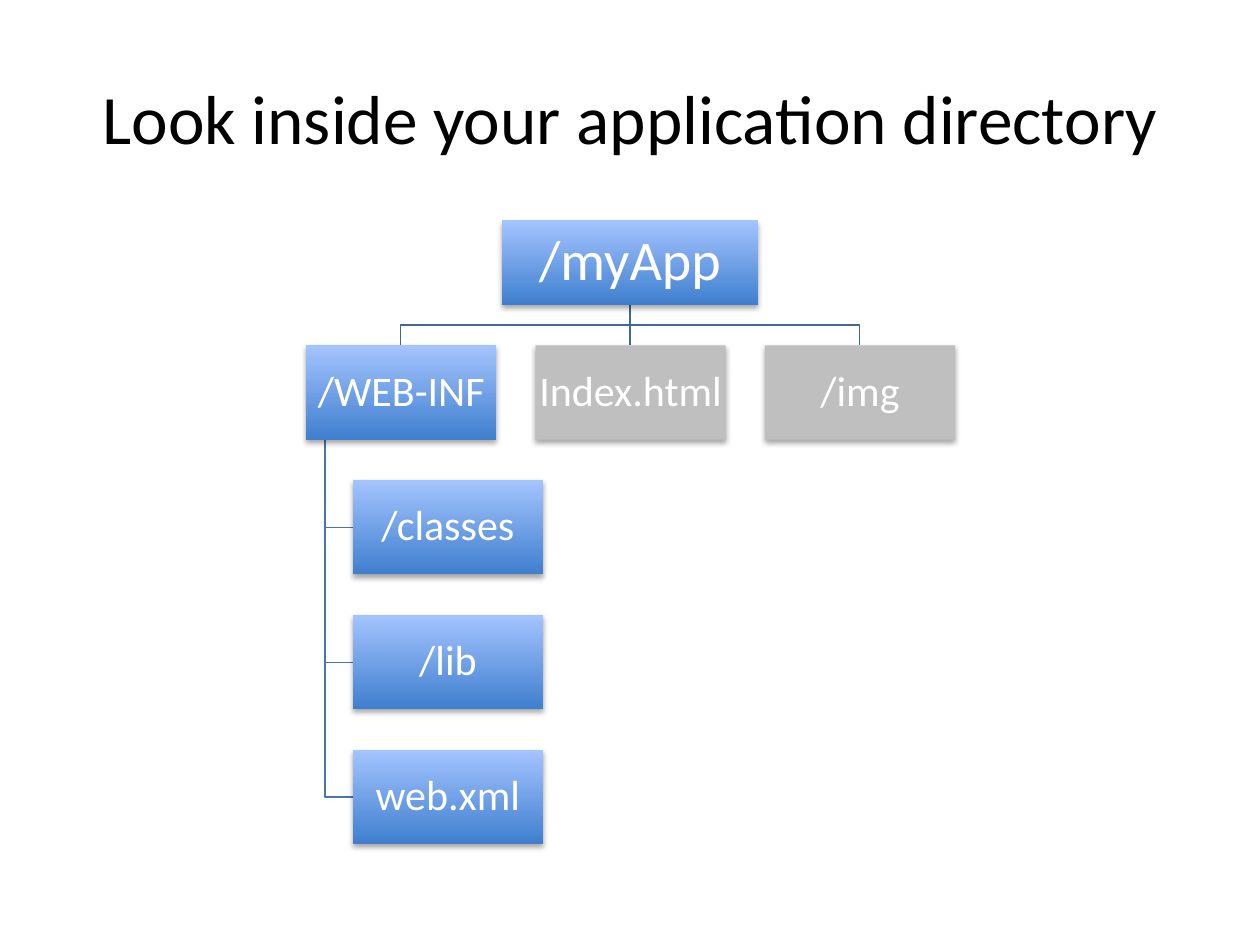
"""Build a slide showing the directory tree of a web application."""
from lxml import etree
from pptx import Presentation
from pptx.dml.color import RGBColor
from pptx.enum.shapes import MSO_CONNECTOR, MSO_SHAPE
from pptx.enum.text import MSO_ANCHOR, PP_ALIGN
from pptx.oxml.ns import qn
from pptx.util import Inches, Pt

RECTANGLE = MSO_SHAPE.RECTANGLE
STRAIGHT = MSO_CONNECTOR.STRAIGHT
MIDDLE = MSO_ANCHOR.MIDDLE
CENTER = PP_ALIGN.CENTER

BLACK = RGBColor(0x00, 0x00, 0x00)
WHITE = RGBColor(0xFF, 0xFF, 0xFF)
GREY = RGBColor(0xBF, 0xBF, 0xBF)
DEEP_BLUE = RGBColor(0x3F, 0x7F, 0xCE)
PALE_BLUE = RGBColor(0xA4, 0xC4, 0xFF)
BRANCH_BLUE = RGBColor(0x3F, 0x67, 0x97)
TWIG_BLUE = RGBColor(0x48, 0x75, 0xAC)

TITLE = "Look inside your application directory"
ROOT = "/myApp"
ENTRIES = [("/WEB-INF", True), ("Index.html", False), ("/img", False)]
WEB_INF_FILES = ["/classes", "/lib", "web.xml"]

FONT = "Calibri"
CENTER_X = 5
ROOT_TOP, ROOT_WIDTH, ROOT_HEIGHT = 1.75, 2.03, 0.67
NODE_WIDTH, NODE_HEIGHT = 1.51, 0.75
ENTRY_LEFT, ENTRY_TOP, ENTRY_PITCH = 2.43, 2.74, 1.82
FILE_LEFT, FILE_PITCH = 2.8, 1.07
BRANCH_Y, TRUNK_X = 2.58, 2.58
FRAME_FORMAT = {
    "word_wrap": True,
    "vertical_anchor": MIDDLE,
    **{f"margin_{side}": Inches(0.02) for side in ("left", "top", "right", "bottom")},
}
SHADOW_FORMAT = {"blurRad": "40000", "dist": "23000", "dir": "5400000", "rotWithShape": "0"}


def apply(target, formats):
    for name, value in formats.items():
        setattr(target, name, value)


def write(frame, text, size, color):
    frame.text = text
    para = frame.paragraphs[0]
    para.alignment = CENTER
    span = para.runs[0]
    apply(span.font, {"name": FONT, "size": Pt(size)})
    span.font.color.rgb = color
    return para


def add_shadow(box):
    box.shadow.inherit = False
    effects = box._element.spPr.find(qn("a:effectLst"))
    shadow = etree.SubElement(effects, qn("a:outerShdw"), SHADOW_FORMAT)
    color = etree.SubElement(shadow, qn("a:srgbClr"), val="000000")
    etree.SubElement(color, qn("a:alpha"), val="35000")


def add_node(page, text, place, size, active=True):
    box = page.shapes.add_shape(RECTANGLE, *map(Inches, place))
    if active:
        box.fill.gradient()
        box.fill.gradient_angle = 90
        for stop, color in zip(box.fill.gradient_stops, (DEEP_BLUE, PALE_BLUE)):
            stop.color.rgb = color
    else:
        box.fill.solid()
        box.fill.fore_color.rgb = GREY
    box.line.fill.background()
    add_shadow(box)
    apply(box.text_frame, FRAME_FORMAT)
    write(box.text_frame, text, size, WHITE).line_spacing = 0.9


def add_link(page, points, color):
    points = [(Inches(x), Inches(y)) for x, y in points]
    if len(points) == 2:
        link = page.shapes.add_connector(STRAIGHT, *points[0], *points[1])
        etree.SubElement(link._element.spPr, qn("a:effectLst"))
    else:
        builder = page.shapes.build_freeform(*points[0])
        builder.add_line_segments(points[1:], close=False)
        link = builder.convert_to_shape()
        link.fill.background()
        link.shadow.inherit = False
    link.line.color.rgb = color
    link.line.width = Pt(0.75)


def main():
    deck = Presentation()
    deck.slide_width, deck.slide_height = Inches(10), Inches(7.5)
    page = deck.slides.add_slide(deck.slide_layouts[5])
    title = page.shapes.title
    apply(title, {"left": Inches(0.5), "top": Inches(0.3),
                  "width": Inches(9), "height": Inches(1.25)})
    title.text_frame.vertical_anchor = MIDDLE
    write(title.text_frame, TITLE, 39.6, BLACK)

    root_bottom = ROOT_TOP + ROOT_HEIGHT
    entry_bottom = ENTRY_TOP + NODE_HEIGHT
    entry_lefts = [ENTRY_LEFT + i * ENTRY_PITCH for i in range(len(ENTRIES))]
    file_tops = [ENTRY_TOP + (i + 1) * FILE_PITCH for i in range(len(WEB_INF_FILES))]

    for i, left in enumerate(entry_lefts):
        x = CENTER_X + (i - 1) * ENTRY_PITCH
        bend = [(CENTER_X, BRANCH_Y), (x, BRANCH_Y)] if x != CENTER_X else []
        add_link(page, [(CENTER_X, root_bottom), *bend, (x, ENTRY_TOP)], BRANCH_BLUE)
    for top in file_tops:
        y = top + NODE_HEIGHT / 2
        add_link(page, [(TRUNK_X, entry_bottom), (TRUNK_X, y), (FILE_LEFT, y)], TWIG_BLUE)

    root_place = (CENTER_X - ROOT_WIDTH / 2, ROOT_TOP, ROOT_WIDTH, ROOT_HEIGHT)
    add_node(page, ROOT, root_place, 32)
    for (text, active), left in zip(ENTRIES, entry_lefts):
        add_node(page, text, (left, ENTRY_TOP, NODE_WIDTH, NODE_HEIGHT), 24, active)
    for text, top in zip(WEB_INF_FILES, file_tops):
        add_node(page, text, (FILE_LEFT, top, NODE_WIDTH, NODE_HEIGHT), 24)
    deck.save("out.pptx")


if __name__ == "__main__":
    main()
